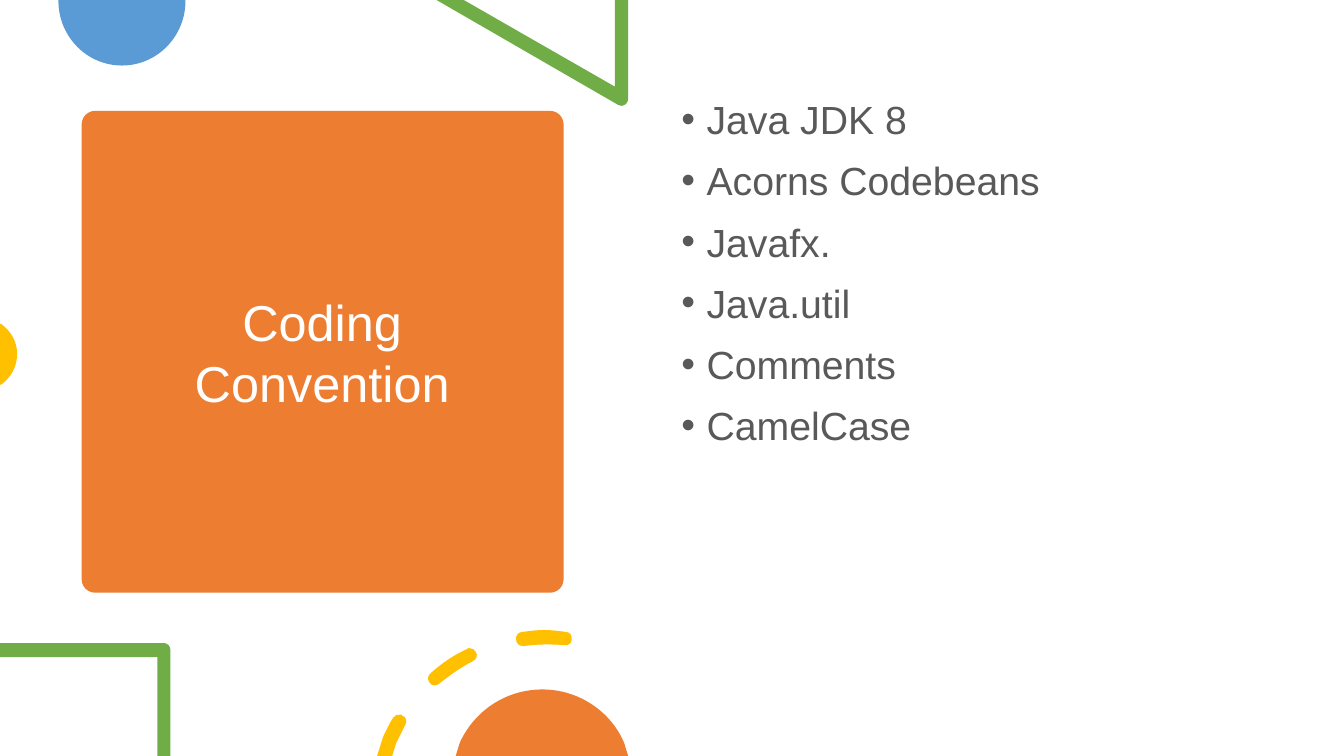
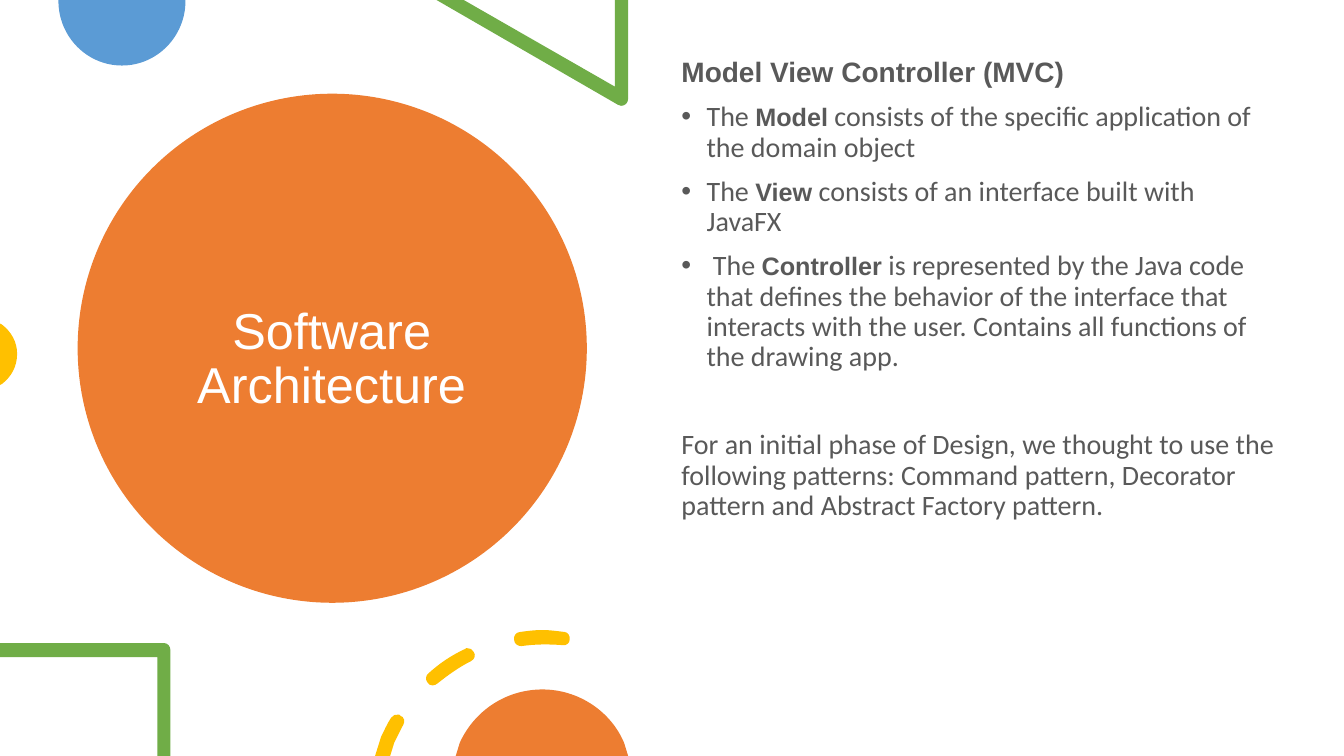
from pptx import Presentation
from pptx.dml.color import RGBColor
from pptx.enum.shapes import MSO_SHAPE as Shape
from pptx.enum.text import MSO_ANCHOR as Anchor, PP_ALIGN as Align
from pptx.util import Inches, Pt
from lxml.etree import SubElement
from pptx.oxml.ns import qn

COLORS = {
    "orange": "ED7D31", "blue": "5B9BD5", "green": "70AD47",
    "yellow": "FFC000", "text": "595959", "white": "FFFFFF",
}

# Outlines in inches: a pair is a line end, six numbers are a Bezier curve
BLUE_DISC = [(1.84, 0), (0.58, 0), (0.58, 0.01),
             (0.58, 0.36, 0.86, 0.65, 1.21, 0.65),
             (1.56, 0.65, 1.84, 0.36, 1.84, 0.01)]
GREEN_TRIANGLE = [(6.23, 0), (6.1, 0), (6.1, 0.86), (4.6, 0), (4.33, 0), (6.13, 1.04),
                  (6.14, 1.05, 6.15, 1.05, 6.16, 1.05),
                  (6.2, 1.05, 6.23, 1.02, 6.23, 0.98)]
YELLOW_DISC = [(0, 3.21), (0, 3.82), (0.02, 3.81),
               (0.11, 3.74, 0.17, 3.64, 0.17, 3.51),
               (0.17, 3.39, 0.11, 3.29, 0.02, 3.22)]
GREEN_CORNER = [(1.63, 6.38), (0, 6.38), (0, 6.52), (1.56, 6.52), (1.56, 7.5),
                (1.69, 7.5), (1.69, 6.45), (1.69, 6.41, 1.66, 6.38, 1.63, 6.38)]
ORANGE_DISC = [(5.38, 6.84), (5.01, 6.84, 4.7, 7.06, 4.56, 7.37), (4.52, 7.5),
               (6.23, 7.5), (6.19, 7.37), (6.06, 7.06, 5.74, 6.84, 5.38, 6.84)]
LOW_DASH = [(3.97, 7.09), (3.94, 7.08, 3.92, 7.1, 3.9, 7.12),
            (3.86, 7.18, 3.83, 7.25, 3.8, 7.31), (3.74, 7.5), (3.89, 7.5), (3.93, 7.37),
            (3.96, 7.31, 3.99, 7.25, 4.02, 7.19),
            (4.04, 7.16, 4.03, 7.11, 3.99, 7.1), (3.99, 7.09, 3.98, 7.09, 3.97, 7.09)]
MIDDLE_DASH = [(4.65, 6.43), (4.65, 6.43, 4.64, 6.43, 4.63, 6.44),
               (4.5, 6.5, 4.38, 6.58, 4.27, 6.68), (4.24, 6.7, 4.24, 6.75, 4.26, 6.77),
               (4.27, 6.79, 4.29, 6.8, 4.31, 6.8), (4.33, 6.8, 4.35, 6.79, 4.36, 6.78),
               (4.46, 6.7, 4.57, 6.62, 4.69, 6.56), (4.73, 6.54, 4.74, 6.5, 4.72, 6.47),
               (4.71, 6.44, 4.68, 6.43, 4.65, 6.43)]
TOP_DASH = [(5.4, 6.25), (5.32, 6.25, 5.25, 6.26, 5.18, 6.27),
            (5.14, 6.27, 5.11, 6.31, 5.12, 6.35), (5.12, 6.38, 5.15, 6.41, 5.19, 6.41),
            (5.33, 6.39, 5.46, 6.39, 5.6, 6.4), (5.63, 6.41, 5.67, 6.38, 5.67, 6.35),
            (5.68, 6.31, 5.65, 6.27, 5.62, 6.27), (5.54, 6.26, 5.47, 6.25, 5.4, 6.25)]


class Slides:
    def __init__(self):
        self.deck = Presentation()
        self.deck.slide_width, self.deck.slide_height = Inches(13.33), Inches(7.5)
        self.page = None

    def new_page(self):
        self.page = self.deck.slides.add_slide(self.deck.slide_layouts[6])

    def paint(self, shape, color):
        shape.shadow.inherit = False
        shape.fill.solid()
        shape.fill.fore_color.rgb = RGBColor.from_string(COLORS[color])
        shape.line.fill.background()

    def panel(self, kind, left, top, size, corner=None):
        panel = self.page.shapes.add_shape(
            kind, Inches(left), Inches(top), Inches(size), Inches(size))
        if corner is not None:
            panel.adjustments[0] = corner
        self.paint(panel, "orange")

    def outline(self, color, *contours, shift=0):
        def point(x, y):
            return Inches(x + shift), Inches(y)

        builder = None
        for contour in contours:
            start, *ends = [point(*step[-2:]) for step in contour]
            if builder is None:
                builder = self.page.shapes.build_freeform(*start, scale=1.0)
            else:
                builder.move_to(*start)
            builder.add_line_segments(ends, close=False)
            builder.add_line_segments([], close=True)
        shape = builder.convert_to_shape()
        self.paint(shape, color)

        # Bend the segments that are curves
        steps = [step for contour in contours for step in contour[1:]]
        segments = list(shape._element.iter(qn("a:lnTo")))
        for segment, step in zip(segments, steps):
            if len(step) == 6:
                segment.tag = qn("a:cubicBezTo")
                for index in (0, 2):
                    x, y = point(*step[index:index + 2])
                    control = SubElement(segment, qn("a:pt"))
                    control.set("x", str(x - shape.left))
                    control.set("y", str(y - shape.top))
                segment.append(segment[0])

    def decorations(self, dash_shift=0):
        self.outline("blue", BLUE_DISC)
        self.outline("green", GREEN_TRIANGLE)
        self.outline("yellow", YELLOW_DISC)
        self.outline("green", GREEN_CORNER)
        self.outline("yellow", LOW_DASH, MIDDLE_DASH, TOP_DASH, shift=dash_shift)
        self.outline("orange", ORANGE_DISC)

    def text_frame(self, left, top, width, height, anchor=Anchor.TOP):
        box = self.page.shapes.add_textbox(
            Inches(left), Inches(top), Inches(width), Inches(height))
        frame = box.text_frame
        frame.word_wrap = True
        frame.vertical_anchor = anchor
        return frame

    def span(self, para, text, size, font="Arial", color="text", bold=False):
        span = para.add_run()
        span.text = text
        span.font.size, span.font.name, span.font.bold = Pt(size), font, bold
        span.font.color.rgb = RGBColor.from_string(COLORS[color])

    def title(self, lines, left, top, width, height, spacing=1.0):
        para = self.text_frame(left, top, width, height, Anchor.MIDDLE).paragraphs[0]
        para.alignment = Align.CENTER
        para.line_spacing = spacing
        for number, line in enumerate(lines):
            if number:
                para.add_line_break()
            self.span(para, line, 36, color="white")

    def para(self, frame, spans, bullet=False, spacing=1.0, before=10):
        """Add a paragraph of (text, size, font, bold) spans."""
        para = frame.paragraphs[0]
        if para.runs:
            para = frame.add_paragraph()
        para.line_spacing, para.space_before = spacing, Pt(before)
        if bullet:
            props = para._p.get_or_add_pPr()
            props.set("marL", str(Inches(0.25)))
            props.set("indent", str(-Inches(0.25)))
            SubElement(props, qn("a:buFont")).set("typeface", "Arial")
            SubElement(props, qn("a:buChar")).set("char", "•")
        for text, size, font, bold in spans:
            self.span(para, text, size, font, bold=bold)


slides = Slides()

# Coding convention
slides.new_page()
slides.panel(Shape.ROUNDED_RECTANGLE, 0.81, 1.1, 4.78, corner=0.028)
slides.title(["Coding", "Convention"], 1.04, 1.21, 4.31, 4.56)
slides.decorations()
tools = slides.text_frame(6.66, 0.9, 5.75, 5.35)
for tool in ("Java JDK 8", "Acorns Codebeans", "Javafx.", "Java.util", "Comments", "CamelCase"):
    slides.para(tools, [(tool, 28, "Arial", False)], bullet=True)

# Software architecture
slides.new_page()
slides.panel(Shape.OVAL, 0.77, 0.93, 5.05)
slides.title(["Software Architecture"], 1.52, 1.35, 3.54, 4.45, spacing=0.9)
slides.decorations(dash_shift=-0.02)
pattern = slides.text_frame(6.66, 0.53, 6.09, 6.12)
slides.para(pattern, [("Model View Controller (MVC)", 20, "Arial", True)], spacing=0.9)
for lead, part, role in (
    ("The ", "Model", " consists of the specific application of the domain object"),
    ("The ", "View", " consists of an interface built with JavaFX"),
    (" The ", "Controller", " is represented by the Java code that defines the behavior of the "
     "interface that interacts with the user. Contains all functions of the drawing app."),
):
    slides.para(pattern, [(lead, 20, "Calibri", False), (part, 18, "Arial", True),
                          (role, 20, "Calibri", False)], bullet=True, spacing=0.9)
slides.para(pattern, [("For an initial phase of Design, we thought to use the following patterns: "
                       "Command pattern, Decorator pattern and Abstract Factory pattern.",
                       20, "Calibri", False)], spacing=0.9, before=41.5)

slides.deck.save("out.pptx")
